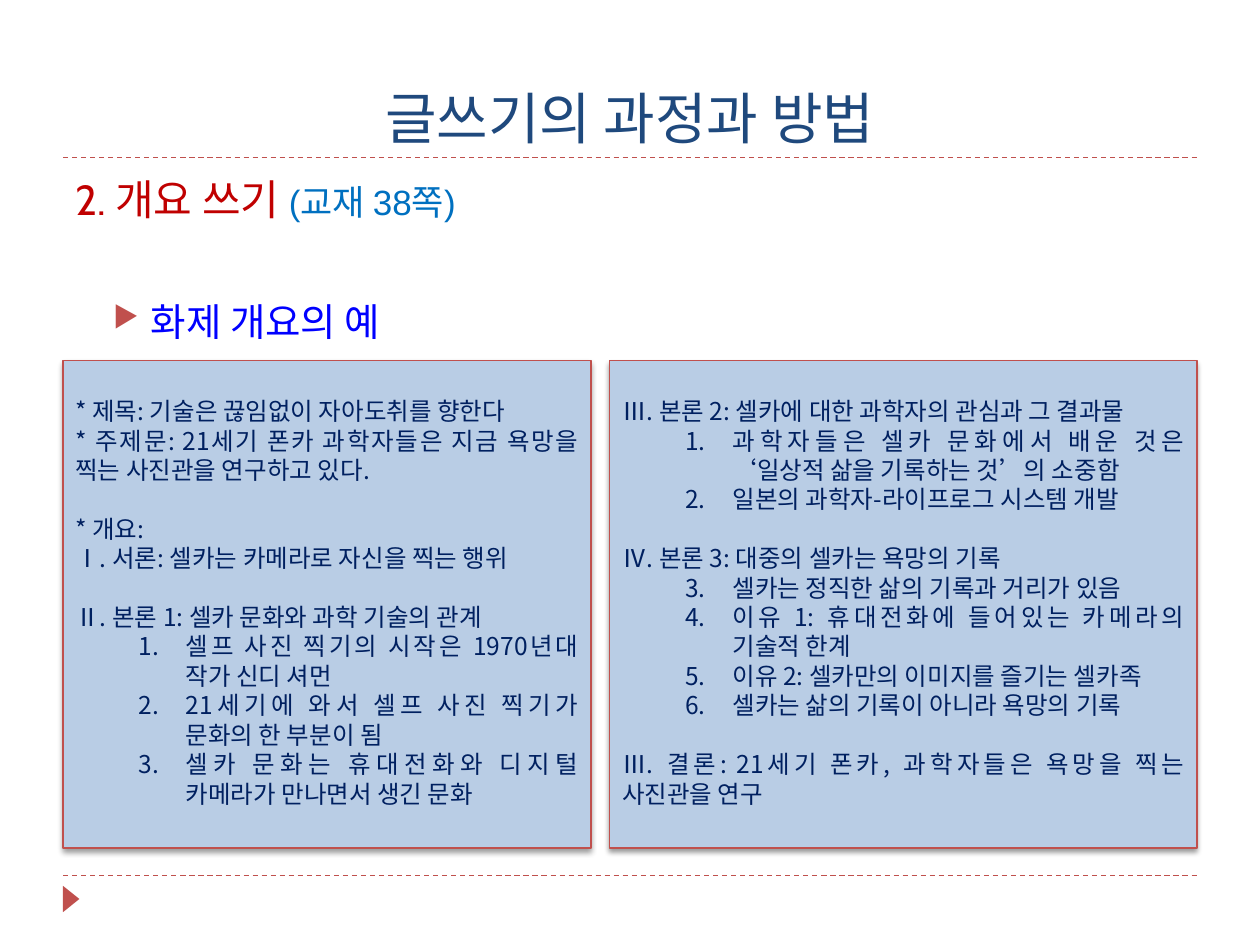
from lxml import etree
from pptx import Presentation
from pptx.dml.color import RGBColor
from pptx.enum.dml import MSO_LINE
from pptx.enum.shapes import MSO_CONNECTOR, MSO_SHAPE
from pptx.enum.text import MSO_ANCHOR, PP_ALIGN
from pptx.oxml import parse_xml
from pptx.oxml.ns import nsdecls, qn
from pptx.util import Pt

DASH = MSO_LINE.DASH
STRAIGHT = MSO_CONNECTOR.STRAIGHT
RECTANGLE = MSO_SHAPE.RECTANGLE
TRIANGLE = MSO_SHAPE.ISOSCELES_TRIANGLE
TOP, BOTTOM = MSO_ANCHOR.TOP, MSO_ANCHOR.BOTTOM
CENTER, JUSTIFY = PP_ALIGN.CENTER, PP_ALIGN.JUSTIFY

KOREAN = "Noto Sans CJK KR"
RED = "C0504D"
LEFT, RIGHT = 36, 684
PANEL_TOP, PANEL_HEIGHT = 206, 278.6
LINE_HEIGHT = 16.8

TOPIC_OUTLINE = [
    ("* 제목: 기술은 끊임없이 자아도취를 향한다", {}),
    ("* 주제문: 21세기 폰카 과학자들은 지금 욕망을 찍는 사진관을 연구하고 있다.", {}),
    ("* 개요:", {"before": LINE_HEIGHT}),
    ("Ⅰ. 서론: 셀카는 카메라로 자신을 찍는 행위", {}),
    ("Ⅱ. 본론 1: 셀카 문화와 과학 기술의 관계", {"before": LINE_HEIGHT}),
    ("셀프 사진 찍기의 시작은 1970년대 작가 신디 셔먼", {"start": 1}),
    ("21세기에 와서 셀프 사진 찍기가 문화의 한 부분이 됨", {"start": 1}),
    ("셀카 문화는 휴대전화와 디지털 카메라가 만나면서 생긴 문화", {"start": 1}),
]
BODY_OUTLINE = [
    ("Ⅲ. 본론 2: 셀카에 대한 과학자의 관심과 그 결과물", {}),
    ("과학자들은 셀카 문화에서 배운 것은 ‘일상적 삶을 기록하는 것’의 소중함", {"start": 1}),
    ("일본의 과학자-라이프로그 시스템 개발", {"start": 1}),
    ("Ⅳ. 본론 3: 대중의 셀카는 욕망의 기록", {"before": LINE_HEIGHT}),
    ("셀카는 정직한 삶의 기록과 거리가 있음", {"start": 3}),
    ("이유 1: 휴대전화에 들어있는 카메라의 기술적 한계", {"start": 3}),
    ("이유 2: 셀카만의 이미지를 즐기는 셀카족", {"start": 3}),
    ("셀카는 삶의 기록이 아니라 욕망의 기록", {"start": 3}),
    ("Ⅲ. 결론: 21세기 폰카, 과학자들은 욕망을 찍는 사진관을 연구", {"before": LINE_HEIGHT}),
]


def color(value):
    return RGBColor.from_string(value)


def write(paragraph, text, size=14, font=KOREAN, ink="002060", align=JUSTIFY, before=0, spacing=None):
    run = paragraph.add_run()
    run.text = text
    run.font.size = Pt(size)
    run.font.name = font
    run.font.color.rgb = color(ink)
    east_asian = etree.Element(qn("a:ea"), typeface=KOREAN)
    run.font._element.find(qn("a:latin")).addnext(east_asian)
    paragraph.alignment = align
    paragraph.space_before = Pt(before)
    if spacing:
        paragraph.line_spacing = spacing


def indent(paragraph, margin, hanging):
    properties = paragraph._p.get_or_add_pPr()
    properties.set("marL", str(Pt(margin)))
    properties.set("indent", str(-Pt(hanging)))
    return properties


def number(paragraph, start):
    properties = indent(paragraph, 63, 27)
    properties.set("lvl", "1")
    numbering = etree.SubElement(properties, qn("a:buAutoNum"), type="arabicPeriod")
    if start > 1:
        numbering.set("startAt", str(start))


def arrow_bullet(paragraph):
    properties = indent(paragraph, 43.2, 21.6)
    bullet_color = etree.SubElement(properties, qn("a:buClr"))
    etree.SubElement(bullet_color, qn("a:srgbClr"), val=RED)
    etree.SubElement(properties, qn("a:buSzPct"), val="76000")
    etree.SubElement(properties, qn("a:buChar"), char="▶")


def add_rule(slide, y):
    rule = slide.shapes.add_connector(STRAIGHT, Pt(LEFT), Pt(y), Pt(RIGHT), Pt(y))
    rule.line.color.rgb = color(RED)
    rule.line.width = Pt(0.75)
    rule.line.dash_style = DASH
    etree.SubElement(rule._element.spPr, qn("a:effectLst"))


def add_corner_arrow(slide):
    arrow = slide.shapes.add_shape(TRIANGLE, Pt(33.1), Pt(509), Pt(15.1), Pt(9.4))
    arrow.rotation = 90
    arrow.shadow.inherit = False
    arrow.fill.solid()
    arrow.fill.fore_color.rgb = color(RED)
    arrow.line.fill.background()


def add_title(slide, text):
    title = slide.shapes.title
    title.left, title.top, title.width, title.height = Pt(LEFT), Pt(12.2), Pt(RIGHT - LEFT), Pt(77.8)
    title.text_frame.vertical_anchor = BOTTOM
    write(title.text_frame.paragraphs[0], text, size=32, font="TeX Gyre Bonum", ink="1F497D", align=CENTER)


def add_headings(slide):
    box = slide.shapes.add_textbox(Pt(LEFT), Pt(95.8), Pt(RIGHT - LEFT), Pt(108))
    frame = box.text_frame
    frame.word_wrap = True
    section = frame.paragraphs[0]
    write(section, "2. 개요 쓰기 ", size=24, font="Cabin", ink="C00000")
    write(section, "(교재 38쪽)", size=20, font="Arial", ink="0070C0")
    example = frame.add_paragraph()
    write(example, "화제 개요의 예", size=22, font="Cabin", ink="0000FF", before=29, spacing=1.5)
    arrow_bullet(example)


def add_panel(slide, left, width, entries):
    panel = slide.shapes.add_shape(RECTANGLE, Pt(left), Pt(PANEL_TOP), Pt(width), Pt(PANEL_HEIGHT))
    panel.fill.solid()
    panel.fill.fore_color.rgb = color("B9CDE5")
    panel.line.color.rgb = color(RED)
    panel.line.width = Pt(0.75)
    panel._element.spPr.append(parse_xml(
        f'<a:effectLst {nsdecls("a")}><a:outerShdw blurRad="{Pt(3)}" dist="{Pt(2)}" dir="5400000" '
        'rotWithShape="0"><a:srgbClr val="000000"><a:alpha val="40000"/></a:srgbClr>'
        '</a:outerShdw></a:effectLst>'))
    frame = panel.text_frame
    frame.word_wrap = True
    frame.vertical_anchor = TOP
    frame.margin_top = Pt(3.6 + LINE_HEIGHT)
    for index, (text, layout) in enumerate(entries):
        paragraph = frame.add_paragraph() if index else frame.paragraphs[0]
        write(paragraph, text, before=layout.get("before", 0))
        if "start" in layout:
            number(paragraph, layout["start"])


def main():
    presentation = Presentation()
    presentation.slide_width, presentation.slide_height = Pt(720), Pt(540)
    slide = presentation.slides.add_slide(presentation.slide_layouts[5])
    for y in (500.4, 90):
        add_rule(slide, y)
    add_corner_arrow(slide)
    add_title(slide, "글쓰기의 과정과 방법")
    add_headings(slide)
    add_panel(slide, LEFT, 301.7, TOPIC_OUTLINE)
    add_panel(slide, 348.5, RIGHT - 348.5, BODY_OUTLINE)
    presentation.save("out.pptx")


if __name__ == "__main__":
    main()
